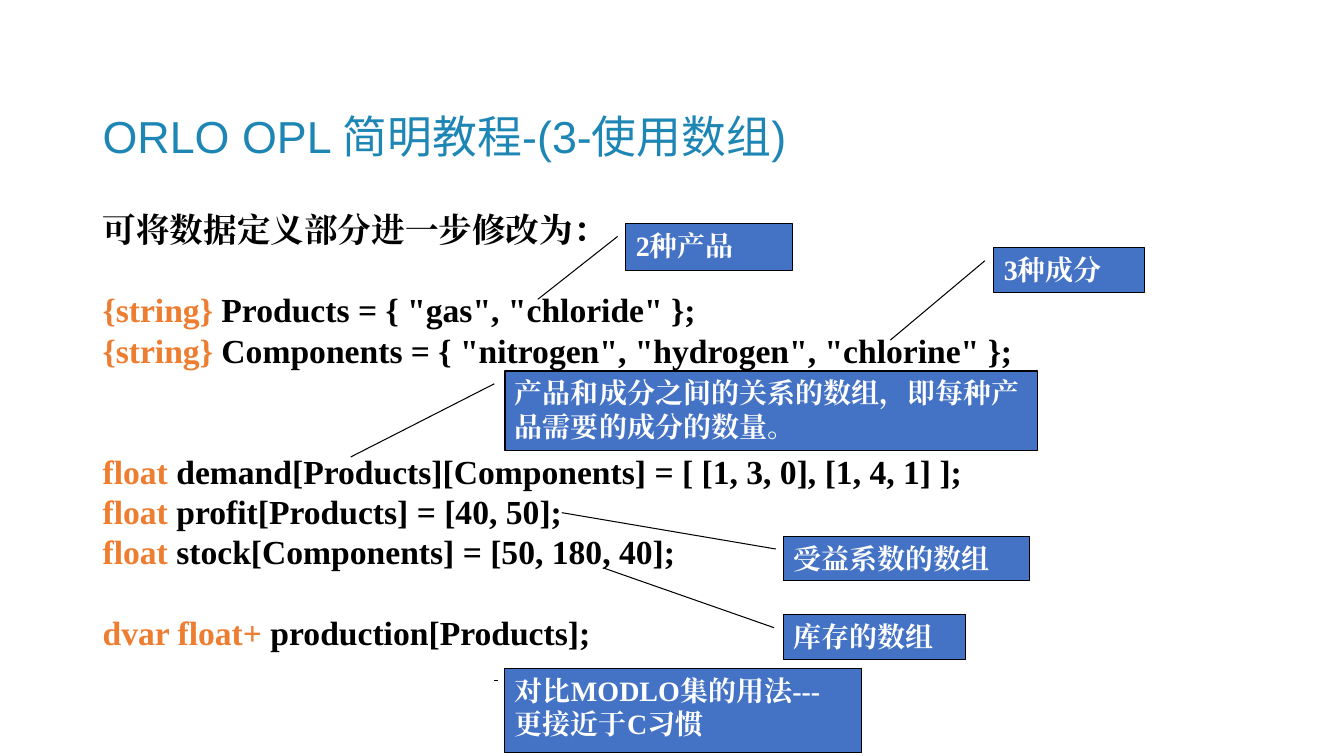
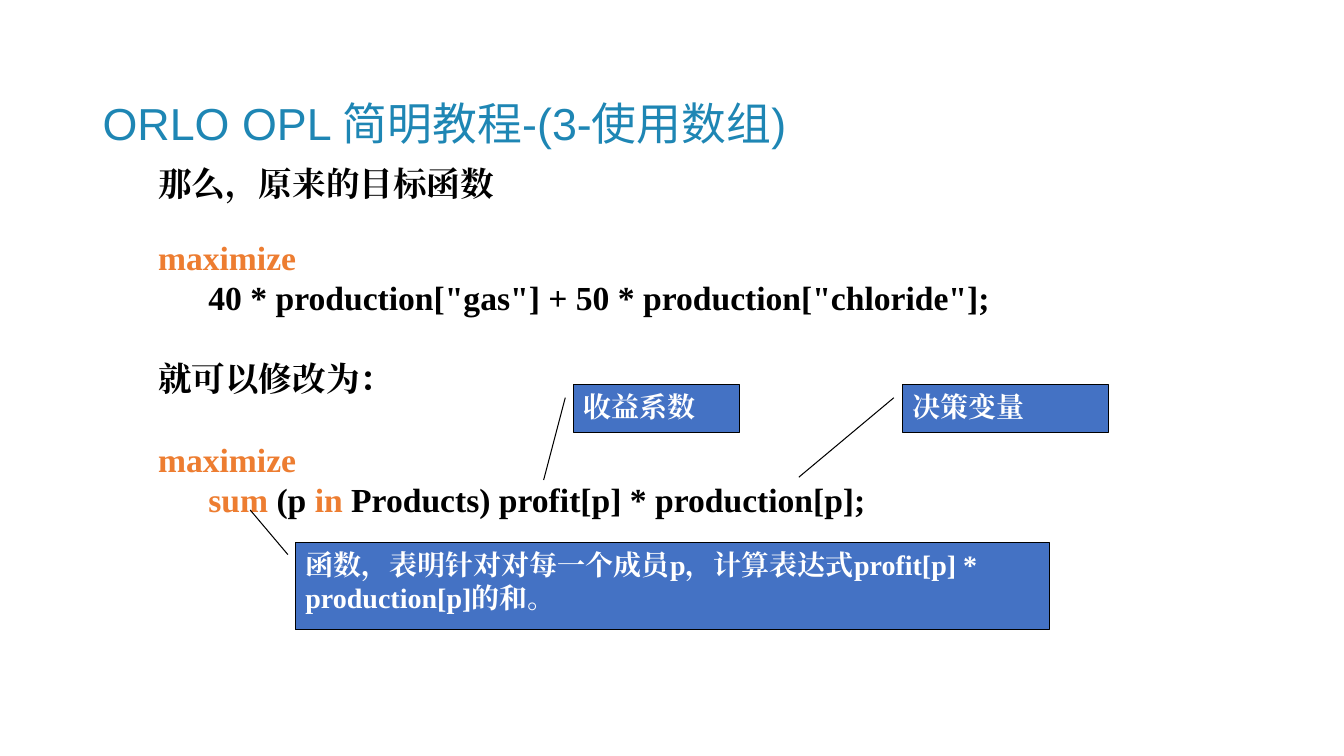
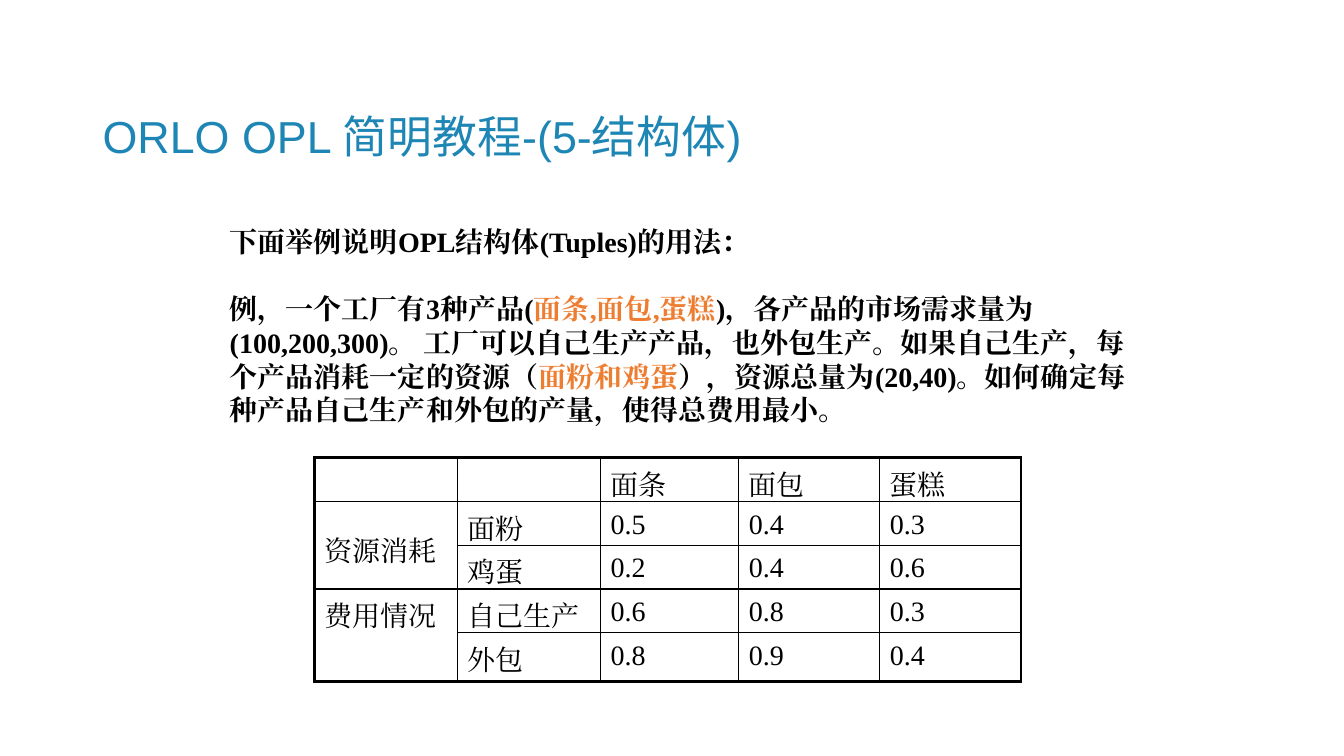
"""Build three slides on arrays and tuples in an optimisation language."""
from dataclasses import dataclass

from lxml import etree
from pptx import Presentation
from pptx import util as u
from pptx.dml.color import RGBColor
from pptx.enum import lang, shapes, text
from pptx.oxml.ns import qn

COLOURS = {
    "title": "1E86B4",
    "body": "000000",
    "accent": "ED7D31",
    "callout": "4472C4",
    "callout_text": "FFFFFF",
    "line": "000000",
}
TITLE_FONT = "Arial"
BODY_FONT = "Times New Roman"
LINE_HEIGHT = 1.2
TITLE_PREFIX = "ORLO OPL 简明教程-"


@dataclass(frozen=True)
class Box:
    """A rectangle in points."""

    left: float
    top: float
    width: float
    height: float

    def lengths(self) -> tuple[u.Length, ...]:
        """Return the four measures as lengths."""
        return tuple(u.Pt(value) for value in (self.left, self.top, self.width, self.height))


@dataclass(frozen=True)
class Line:
    """A paragraph whose parts between bars are accented."""

    words: str
    gap: float = 0
    indent: float = 0


@dataclass(frozen=True)
class Callout:
    """A labelled box with a leader, given as y and x fractions of the box."""

    words: str
    box: Box
    leader: tuple[float, float, float, float]


@dataclass(frozen=True)
class Page:
    """The shared parts of one slide."""

    topic: str
    title_top: float
    box: Box
    size: float
    lines: tuple[Line, ...]
    callouts: tuple[Callout, ...] = ()


PAGES = (
    Page(
        "(3-使用数组)", 65.5, Box(66.25, 145.5, 828, 375.8), 24,
        (
            Line("可将数据定义部分进一步修改为："),
            Line('|{string}| Products = { "gas", "chloride" };', 28.8),
            Line('|{string}| Components = { "nitrogen", "hydrogen", "chlorine" };'),
            Line("|float| demand[Products][Components] = [ [1, 3, 0], [1, 4, 1] ];", 57.6),
            Line("|float| profit[Products] = [40, 50];"),
            Line("|float| stock[Components] = [50, 180, 40];"),
            Line("|dvar float+| production[Products];", 28.8),
        ),
        (
            Callout("3种成分", Box(709.9, 177.1, 107.3, 31.7), (0.29, -0.06, 2.08, -0.69)),
            Callout("受益系数的数组", Box(559.4, 383, 175.7, 31.7), (0.29, -0.03, -0.53, -0.9)),
            Callout("库存的数组", Box(559.4, 439.2, 130.3, 31.7), (0.29, -0.05, -1.05, -0.98)),
            Callout("产品和成分之间的关系的数组，即每种产品需要的成分的数量。",
                    Box(360.7, 265, 380.2, 56.9), (0.16, -0.02, 1.08, -0.29)),
            Callout("2种产品", Box(447.1, 159.8, 118.8, 33.8), (0.27, -0.05, 1.6, -0.53)),
            Callout("对比MODLO集的用法---\n更接近于C习惯",
                    Box(360.7, 477.4, 254.9, 59.8), (0.15, -0.02, 0.15, -0.03)),
        ),
    ),
    Page(
        "(3-使用数组)", 56.2, Box(105.8, 113, 658, 264.2), 24,
        (
            Line("那么，原来的目标函数"),
            Line("|maximize|", 24),
            Line('40 * production["gas"] + 50 * production["chloride"];', indent=36),
            Line("就可以修改为：", 28.8),
            Line("|maximize|", 28.8),
            Line("|sum |(p |in| Products) profit[p] * production[p];", indent=36),
        ),
        (
            Callout("函数，表明针对对每一个成员p，计算表达式profit[p] * production[p]的和。",
                    Box(211, 387.4, 538.6, 62.6), (0.14, -0.01, -0.37, -0.06)),
            Callout("收益系数", Box(409.7, 275, 118.8, 33.8), (0.27, -0.05, 2.01, -0.18)),
            Callout("决策变量", Box(644.4, 275, 147.6, 33.8), (0.27, -0.04, 1.95, -0.5)),
        ),
    ),
    Page(
        "(5-结构体)", 65.5, Box(157, 157, 658, 151.2), 20,
        (
            Line("下面举例说明OPL结构体(Tuples)的用法："),
            Line("例，一个工厂有3种产品(|面条,面包,蛋糕|)，各产品的市场需求量为(100,200,300)。 "
                 "工厂可以自己生产产品，也外包生产。如果自己生产，每个产品消耗一定的资源（|面粉和鸡蛋|），"
                 "资源总量为(20,40)。如何确定每种产品自己生产和外包的产量，使得总费用最小。", 24),
        ),
    ),
)

TABLE_BOX = Box(224.65, 327, 504.7, 159.6)
TABLE_COLUMNS = (102.2, 102.2, 98.7, 100.8, 100.8)
TABLE_ROWS = (31.2, 31.2, 31.2, 31.2, 34.8)
TABLE_CELLS = (
    ("", "", "面条", "面包", "蛋糕"),
    ("资源消耗", "面粉", "0.5", "0.4", "0.3"),
    ("", "鸡蛋", "0.2", "0.4", "0.6"),
    ("费用情况", "自己生产", "0.6", "0.8", "0.3"),
    ("", "外包", "0.8", "0.9", "0.4"),
)
GROUP_ROWS = (1, 3)


def colour(name: str) -> RGBColor:
    """Return a colour of the deck."""
    return RGBColor.from_string(COLOURS[name])


def format_run(run, size: float, colour_name: str, bold: bool = True, name: str = BODY_FONT) -> None:
    """Set the font of a run for both Latin and Chinese text."""
    font = run.font
    font.size, font.bold, font.name = u.Pt(size), bold, name
    font.color.rgb = colour(colour_name)
    font.language_id = lang.MSO_LANGUAGE_ID.SIMPLIFIED_CHINESE
    east_asian = etree.SubElement(run._r.get_or_add_rPr(), qn("a:ea"))
    east_asian.set("typeface", name)


def format_frame(frame, size: float, colour_name: str, bold: bool = True) -> None:
    """Format all the text of a frame alike."""
    for paragraph in frame.paragraphs:
        paragraph.alignment = text.PP_ALIGN.LEFT
        paragraph.line_spacing = u.Pt(size * LINE_HEIGHT)
        for run in paragraph.runs:
            format_run(run, size, colour_name, bold)


def add_title(slide, page: Page) -> None:
    """Draw the slide title."""
    box = Box(66.25, page.title_top, 828, 67)
    frame = slide.shapes.add_textbox(*box.lengths()).text_frame
    frame.word_wrap = True
    frame.vertical_anchor = text.MSO_ANCHOR.MIDDLE
    frame.text = TITLE_PREFIX + page.topic
    frame.paragraphs[0].line_spacing = 0.9
    format_run(frame.paragraphs[0].runs[0], 32, "title", False, TITLE_FONT)


def add_body(slide, page: Page) -> None:
    """Draw the body lines with their accented parts."""
    frame = slide.shapes.add_textbox(*page.box.lengths()).text_frame
    frame.word_wrap = True
    for index, line in enumerate(page.lines):
        paragraph = frame.add_paragraph() if index else frame.paragraphs[0]
        paragraph.line_spacing = u.Pt(page.size * LINE_HEIGHT)
        paragraph.space_before = u.Pt(line.gap)
        if line.indent:
            paragraph._p.get_or_add_pPr().set("marL", str(u.Pt(line.indent)))
        for position, part in enumerate(line.words.split("|")):
            if part:
                run = paragraph.add_run()
                run.text = part
                format_run(run, page.size, "accent" if position % 2 else "body")


def add_callout(slide, callout: Callout) -> None:
    """Draw a callout box with its leader line."""
    shape = slide.shapes.add_shape(shapes.MSO_SHAPE.LINE_CALLOUT_1, *callout.box.lengths())
    shape.shadow.inherit = False
    shape.fill.solid()
    shape.fill.fore_color.rgb = colour("callout")
    shape.line.color.rgb = colour("line")
    shape.line.width = u.Pt(0.75)
    for index, value in enumerate(callout.leader):
        shape.adjustments[index] = value
    frame = shape.text_frame
    frame.word_wrap = True
    frame.vertical_anchor = text.MSO_ANCHOR.TOP
    frame.text = callout.words
    format_frame(frame, 20, "callout_text")


def set_borders(cell, thick_sides: str) -> None:
    """Draw the cell borders, thick on the named sides."""
    properties = cell._tc.get_or_add_tcPr()
    for side in "LRTB":
        width = u.Pt(2.25 if side in thick_sides else 1)
        border = etree.SubElement(properties, qn(f"a:ln{side}"), w=str(width))
        fill = etree.SubElement(border, qn("a:solidFill"))
        etree.SubElement(fill, qn("a:srgbClr"), val=COLOURS["line"])


def add_cost_table(slide) -> None:
    """Draw the table of resource use and costs."""
    row_count, column_count = len(TABLE_ROWS), len(TABLE_COLUMNS)
    table = slide.shapes.add_table(row_count, column_count, *TABLE_BOX.lengths()).table
    table.first_row = table.horz_banding = False
    for column, width in zip(table.columns, TABLE_COLUMNS):
        column.width = u.Pt(width)
    for row, height in zip(table.rows, TABLE_ROWS):
        row.height = u.Pt(height)
    for row_index, values in enumerate(TABLE_CELLS):
        for column_index, value in enumerate(values):
            cell = table.cell(row_index, column_index)
            is_group = column_index == 0 and row_index in GROUP_ROWS
            last_row = row_index + is_group
            edges = {
                "L": column_index == 0,
                "R": column_index == column_count - 1,
                "T": row_index == 0,
                "B": last_row == row_count - 1,
            }
            set_borders(cell, "".join(side for side, outer in edges.items() if outer))
            cell.fill.background()
            if value:
                is_label = not value[0].isdigit()
                cell.margin_top = u.Pt(7.2 if is_label else 3.6)
                cell.margin_bottom = u.Pt(0 if is_label else 3.6)
                cell.text_frame.text = value
                format_frame(cell.text_frame, 20, "body", False)
    for row_index in GROUP_ROWS:
        table.cell(row_index, 0).merge(table.cell(row_index + 1, 0))
    table.cell(GROUP_ROWS[0], 0).vertical_anchor = text.MSO_ANCHOR.MIDDLE


def main() -> None:
    """Build and save the presentation."""
    presentation = Presentation()
    presentation.slide_width, presentation.slide_height = u.Pt(960), u.Pt(540)
    blank_layout = presentation.slide_layouts[6]
    for page in PAGES:
        slide = presentation.slides.add_slide(blank_layout)
        add_title(slide, page)
        add_body(slide, page)
        for callout in page.callouts:
            add_callout(slide, callout)
    add_cost_table(slide)
    presentation.save("out.pptx")


if __name__ == "__main__":
    main()
